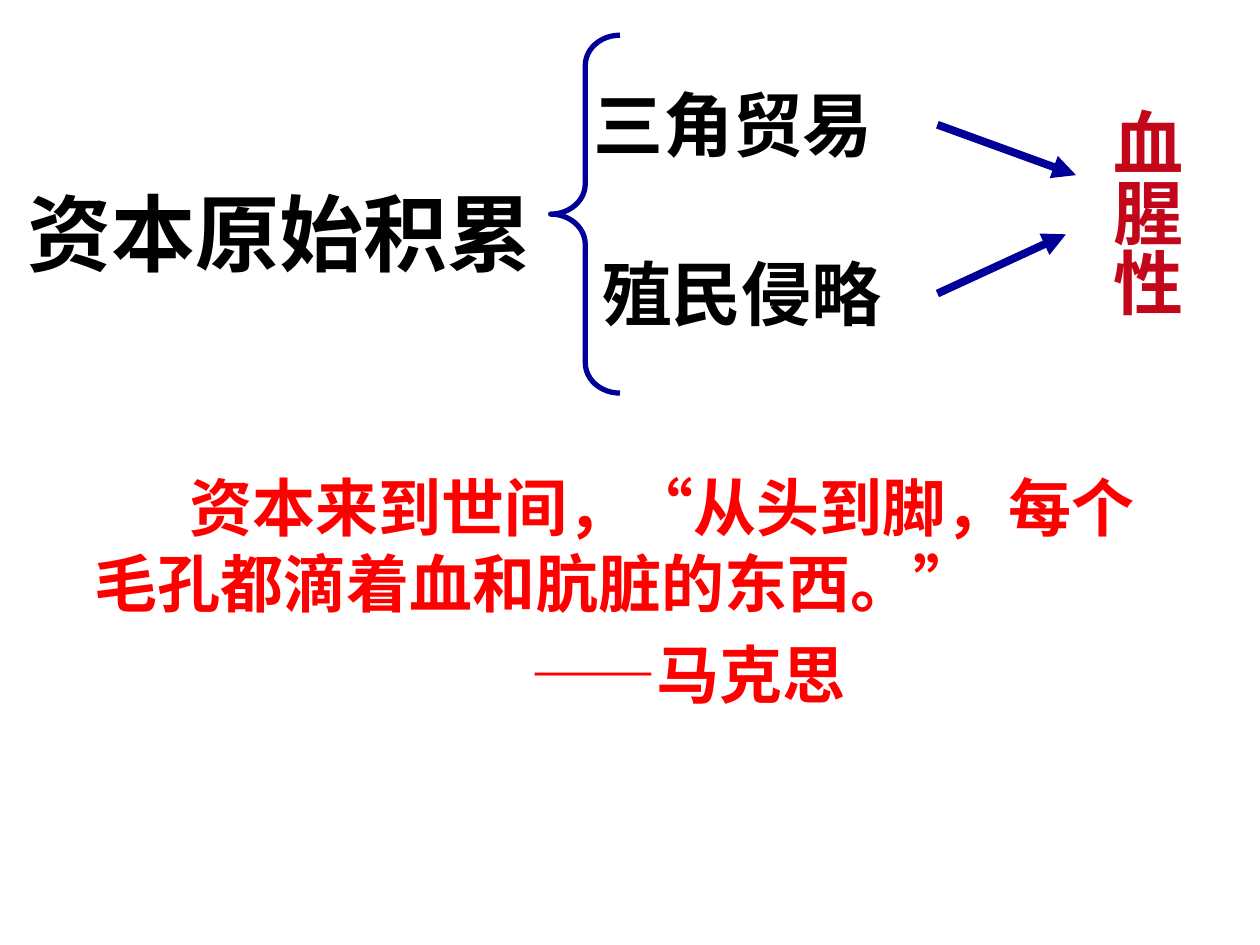
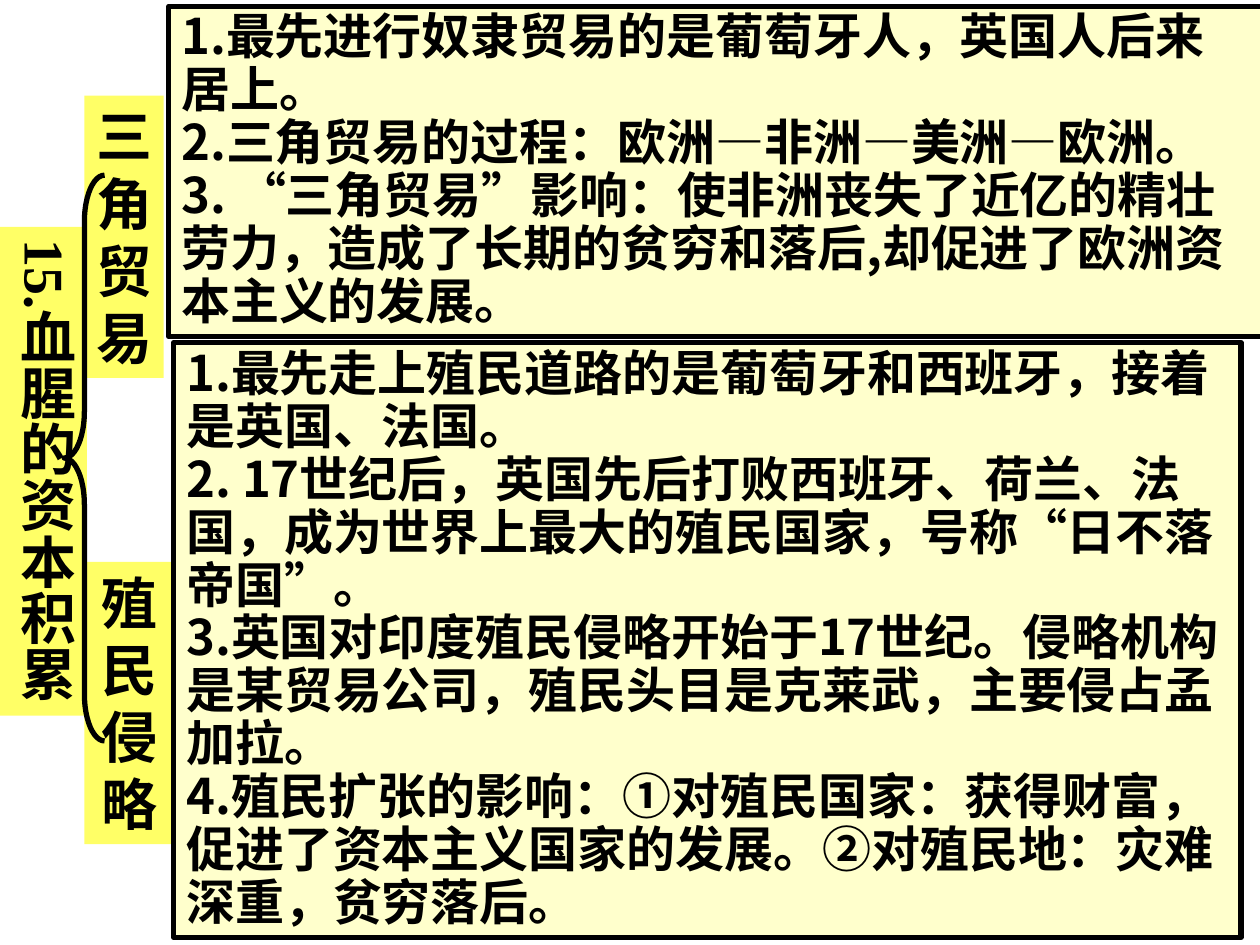
from lxml import etree
from pptx import Presentation
from pptx.dml.color import RGBColor
from pptx.enum.lang import MSO_LANGUAGE_ID
from pptx.enum.shapes import MSO_CONNECTOR, MSO_SHAPE
from pptx.enum.text import MSO_ANCHOR, PP_ALIGN
from pptx.oxml.ns import qn
from pptx.util import Inches, Pt

BLACK = RGBColor(0x00, 0x00, 0x00)
NAVY = RGBColor(0x00, 0x00, 0x99)
CRIMSON = RGBColor(0xC1, 0x07, 0x19)
RED = RGBColor(0xFF, 0x00, 0x00)
YELLOW = RGBColor(0xFF, 0xFF, 0x66)
CREAM = RGBColor(0xFF, 0xFF, 0xCC)

SANS = "Arial"
SERIF = "Times New Roman"
CHINESE = "Noto Sans CJK SC"

TOPIC = ("资本原始积累", (0.12, 1.39, 4.88, 0.9))
CAUSES = [
    ("三角贸易", (4.61, 0.6, 2.84, 0.77)),
    ("殖民侵略", (4.68, 1.94, 2.84, 0.77)),
]
NATURE = ("血腥性", (8.62, 0.76, 0.86, 2.1))
CAUSE_ARROWS = [(7.44, 0.99, 8.54, 1.39), (7.44, 2.33, 8.46, 1.86)]
CAUSE_BRACE = (4.37, 0.28, 0.55, 2.84)
QUOTE_BOX = (0.27, 3.67, 9, 2.27)
QUOTE = "资本来到世间，“从头到脚，每个毛孔都滴着血和肮脏的东西。”"
QUOTE_AUTHOR = "——马克思"

LESSON = ("15.血腥的资本积累", (-0.04, 1.8, 0.73, 3.88))
LESSON_BRACE = (0.51, 1.39, 0.32, 4.49)
SECTIONS = [
    {
        "label": "殖民侵略",
        "label_box": (0.67, 4.46, 0.71, 2.24),
        "notes_box": (1.38, 2.72, 8.47, 4.72),
        "notes": [
            "1.最先走上殖民道路的是葡萄牙和西班牙，接着是英国、法国。",
            "2. 17世纪后，英国先后打败西班牙、荷兰、法国，成为世界上最大的殖民国家，号称“日不落帝国”。",
            "3.英国对印度殖民侵略开始于17世纪。侵略机构是某贸易公司，殖民头目是克莱武，主要侵占孟加拉。",
            "4.殖民扩张的影响：①对殖民国家：获得财富，促进了资本主义国家的发展。②对殖民地：灾难深重，贫穷落后。",
        ],
    },
    {
        "label": "三角贸易",
        "label_box": (0.67, 0.76, 0.63, 2.24),
        "notes_box": (1.34, 0.05, 8.7, 2.62),
        "notes": [
            "1.最先进行奴隶贸易的是葡萄牙人，英国人后来居上。",
            "2.三角贸易的过程：欧洲—非洲—美洲—欧洲。",
            "3. “三角贸易”影响：使非洲丧失了近亿的精壮劳力，造成了长期的贫穷和落后,却促进了欧洲资本主义的发展。",
        ],
    },
]


def inches(values):
    return [Inches(value) for value in values]


def add_text(slide, texts, box, *, size, font, color=BLACK, fill=None, border=None,
             align=PP_ALIGN.LEFT, spacing=None, vertical=False, wrap=True):
    if fill is None:
        holder = slide.shapes.add_textbox(*inches(box))
    else:
        holder = slide.shapes.add_shape(MSO_SHAPE.RECTANGLE, *inches(box))
        holder.shadow.inherit = False
        holder.fill.solid()
        holder.fill.fore_color.rgb = fill
        if border is None:
            holder.line.fill.background()
        else:
            holder.line.color.rgb = border
            holder.line.width = Pt(3)
    frame = holder.text_frame
    frame.word_wrap = wrap
    frame.vertical_anchor = MSO_ANCHOR.TOP
    across, down = (0.05, 0.1) if vertical else (0.1, 0.05)
    frame.margin_left = frame.margin_right = Inches(across)
    frame.margin_top = frame.margin_bottom = Inches(down)
    if vertical:
        frame._txBody.bodyPr.set("vert", "eaVert")
    for index, text in enumerate(texts):
        paragraph = frame.paragraphs[0] if index == 0 else frame.add_paragraph()
        paragraph.alignment = align
        paragraph.line_spacing = spacing
        run = paragraph.add_run()
        run.text = text
        run.font.size = Pt(size)
        run.font.bold = True
        run.font.name = font
        run.font.color.rgb = color
        run.font.language_id = MSO_LANGUAGE_ID.SIMPLIFIED_CHINESE
        latin = run.font._element.find(qn("a:latin"))
        east_asian = etree.Element(qn("a:ea"), typeface=CHINESE)
        latin.addnext(east_asian)
    return frame


def add_brace(slide, box, color, curl):
    brace = slide.shapes.add_shape(MSO_SHAPE.LEFT_BRACE, *inches(box))
    brace.adjustments[0] = curl / box[2]
    brace.shadow.inherit = False
    brace.fill.background()
    brace.line.color.rgb = color
    brace.line.width = Pt(3)


def add_arrow(slide, ends):
    arrow = slide.shapes.add_connector(MSO_CONNECTOR.STRAIGHT, *inches(ends))
    arrow.line.color.rgb = NAVY
    arrow.line.width = Pt(4.5)
    etree.SubElement(arrow.line._get_or_add_ln(), qn("a:tailEnd"), type="triangle")
    etree.SubElement(arrow._element.spPr, qn("a:effectLst"))


def indent(paragraph, left, first):
    properties = paragraph._p.get_or_add_pPr()
    properties.set("marL", str(Inches(left)))
    properties.set("indent", str(Inches(first)))


def build_summary(slide):
    add_brace(slide, CAUSE_BRACE, NAVY, 0.24)
    for cause, box in CAUSES:
        add_text(slide, [cause], box, size=40, font=SANS)
    topic, topic_box = TOPIC
    add_text(slide, [topic], topic_box, size=48, font=SANS)
    nature, nature_box = NATURE
    add_text(slide, [nature], nature_box, size=40, font=SANS, color=CRIMSON, vertical=True)
    for ends in CAUSE_ARROWS:
        add_arrow(slide, ends)
    quotation = add_text(slide, [QUOTE, QUOTE_AUTHOR], QUOTE_BOX,
                         size=36, font=SERIF, color=RED)
    saying, author = quotation.paragraphs
    indent(saying, 0.38, 0.76)
    indent(author, 1.38, 0)
    author.alignment = PP_ALIGN.CENTER
    author.space_before = Pt(9)


def build_notes(slide):
    for section in SECTIONS:
        add_text(slide, [section["label"]], section["label_box"], size=32, font=SERIF,
                 fill=YELLOW, align=PP_ALIGN.CENTER)
    lesson, lesson_box = LESSON
    add_text(slide, [lesson], lesson_box, size=32, font=SERIF, fill=YELLOW,
             vertical=True, wrap=False)
    for section in reversed(SECTIONS):
        add_text(slide, section["notes"], section["notes_box"], size=28, font=CHINESE,
                 fill=CREAM, border=BLACK, spacing=0.9)
    add_brace(slide, LESSON_BRACE, BLACK, 0.37)


def main():
    deck = Presentation()
    deck.slide_width, deck.slide_height = Inches(10), Inches(7.5)
    for build in (build_summary, build_notes):
        build(deck.slides.add_slide(deck.slide_layouts[6]))
    deck.save("out.pptx")


if __name__ == "__main__":
    main()
